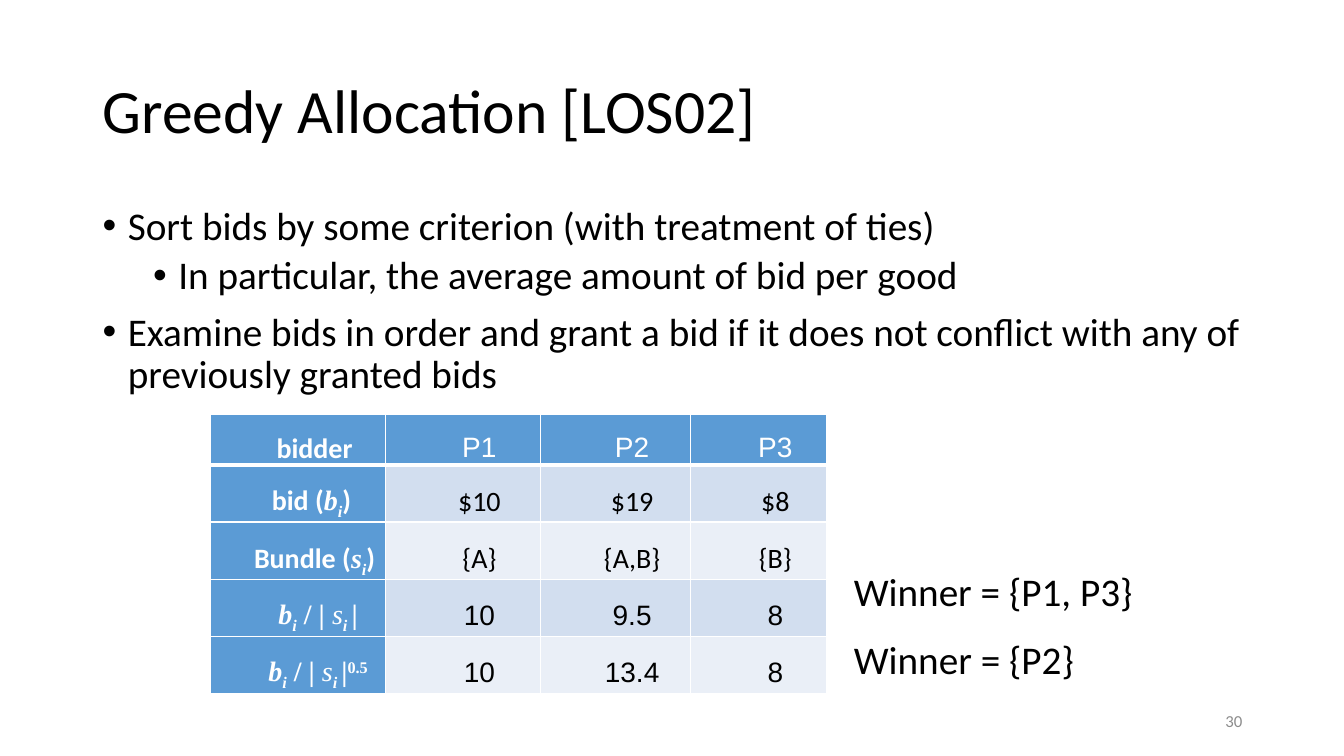
from lxml.etree import SubElement
from pptx import Presentation
from pptx.dml.color import RGBColor
from pptx.enum.text import MSO_ANCHOR, PP_ALIGN
from pptx.oxml.ns import qn
from pptx.util import Inches, Pt


def add_run(paragraph, text, size, color, font="Calibri", style="", baseline=0):
    """Add a run; style may hold b (bold) and i (italic), baseline is in percent."""
    run = paragraph.add_run()
    run.text = text
    run.font.size = Pt(size)
    run.font.name = font
    run.font.bold = "b" in style
    run.font.italic = "i" in style
    run.font.color.rgb = RGBColor.from_string(color)
    if baseline:
        run.font._element.set("baseline", str(baseline * 1000))


def add_text_box(left, top, width, height, wrap=True):
    box = slide.shapes.add_textbox(Inches(left), Inches(top), Inches(width), Inches(height))
    box.text_frame.word_wrap = wrap
    return box.text_frame


presentation = Presentation()
presentation.slide_width = Inches(13.33)
presentation.slide_height = Inches(7.5)
slide = presentation.slides.add_slide(presentation.slide_layouts[5])

# Title
title = slide.shapes.title
title.left, title.top = Inches(0.92), Inches(0.4)
title.width, title.height = Inches(11.5), Inches(1.45)
title.text_frame.vertical_anchor = MSO_ANCHOR.MIDDLE
paragraph = title.text_frame.paragraphs[0]
paragraph.alignment = PP_ALIGN.LEFT
paragraph.line_spacing = 0.9
add_run(paragraph, "Greedy Allocation [LOS02]", 44, "000000")

# Bulleted list
bullets = [
    (0, "Sort bids by some criterion (with treatment of ties)"),
    (1, "In particular, the average amount of bid per good"),
    (0, "Examine bids in order and grant a bid if it does not conflict with any of "
        "previously granted bids"),
]
body = add_text_box(0.92, 2, 11.5, 2.05)
for index, (level, text) in enumerate(bullets):
    paragraph = body.add_paragraph() if index else body.paragraphs[0]
    paragraph.level = level
    paragraph.line_spacing = 0.9
    if index:
        paragraph.space_before = Pt(5 if level else 10)
    properties = paragraph._p.get_or_add_pPr()
    properties.set("marL", str(Inches(0.25 + 0.5 * level)))
    properties.set("indent", str(Inches(-0.25)))
    SubElement(properties, qn("a:buFont"), typeface="Arial")
    SubElement(properties, qn("a:buChar"), char="•")
    add_run(paragraph, text, 28, "000000")

# Bid table: row labels are lists of (text, font, style, baseline)
CALIBRI, TIMES, ARIAL = "Calibri", "Times New Roman", "Arial"
bid_per_good = [
    (" ", TIMES, "b", 0), ("b", TIMES, "bi", 0), ("i", TIMES, "bi", -25),
    (" / | ", TIMES, "b", 0), ("s", TIMES, "i", 0), ("i ", TIMES, "bi", -25),
    ("|", TIMES, "b", 0),
]
bid_label = [("bid (", CALIBRI, "b", 0), ("b", TIMES, "bi", 0),
             ("i", TIMES, "bi", -25), (") ", CALIBRI, "b", 0)]
bundle_label = [("Bundle (", CALIBRI, "b", 0), ("s", TIMES, "bi", 0),
                ("i", TIMES, "bi", -25), (")", CALIBRI, "b", 0)]
rows = [
    ([("bidder", CALIBRI, "b", 0)], ARIAL, ["P1", "P2", "P3"]),
    (bid_label, CALIBRI, ["$10", "$19", "$8"]),
    (bundle_label, CALIBRI, ["{A}", "{A,B}", "{B}"]),
    (bid_per_good, ARIAL, ["10", "9.5", "8"]),
    (bid_per_good + [("0.5", TIMES, "b", 30)], ARIAL, ["10", "13.4", "8"]),
]
column_widths = [1.73, 1.54, 1.49, 1.35]
row_heights = [0.48, 0.48, 0.56, 0.56, 0.56]
table = slide.shapes.add_table(
    len(rows), len(column_widths), Inches(2.09), Inches(4.11),
    Inches(sum(column_widths)), Inches(sum(row_heights))).table
for column, width in zip(table.columns, column_widths):
    column.width = Inches(width)
for row, height in zip(table.rows, row_heights):
    row.height = Inches(height)

for row_index, (label, value_font, values) in enumerate(rows):
    row_runs = [label] + [[(value, value_font, "", 0)] for value in values]
    for column_index, runs in enumerate(row_runs):
        cell = table.cell(row_index, column_index)
        is_heading = row_index == 0 or column_index == 0
        side_margin = Inches(0.07 if column_index else 0)
        cell.margin_left = cell.margin_right = side_margin
        cell.margin_top = cell.margin_bottom = 0
        cell.vertical_anchor = MSO_ANCHOR.MIDDLE

        # White borders, thicker below the header row
        for side in ("L", "R", "T", "B"):
            below_header = (row_index, side) in ((0, "B"), (1, "T"))
            border = SubElement(cell._tc.get_or_add_tcPr(), qn("a:ln" + side),
                                w=str(Pt(3 if below_header else 1)))
            SubElement(SubElement(border, qn("a:solidFill")), qn("a:srgbClr"), val="FFFFFF")
        band = "D2DEEF" if row_index % 2 else "EAEFF7"
        cell.fill.solid()
        cell.fill.fore_color.rgb = RGBColor.from_string("5B9BD5" if is_heading else band)

        paragraph = cell.text_frame.paragraphs[0]
        paragraph.alignment = PP_ALIGN.CENTER
        paragraph.line_spacing = 1.5
        paragraph._p.get_or_add_pPr().set("indent", str(Inches(0.33)))
        for text, font, style, baseline in runs:
            add_run(paragraph, text, 20, "FFFFFF" if is_heading else "000000",
                    font, style, baseline)

# Winners beside the last two rows
for top, width, winner in [(5.58, 3, "Winner = {P1, P3}"), (6.25, 2.41, "Winner = {P2}")]:
    frame = add_text_box(8.37, top, width, 0.57, wrap=False)
    add_run(frame.paragraphs[0], winner, 28, "000000")

# Slide number
number = add_text_box(9.42, 6.95, 3, 0.4)
number.vertical_anchor = MSO_ANCHOR.MIDDLE
number.paragraphs[0].alignment = PP_ALIGN.RIGHT
add_run(number.paragraphs[0], "30", 12, "8C8C8C")

presentation.save("out.pptx")
